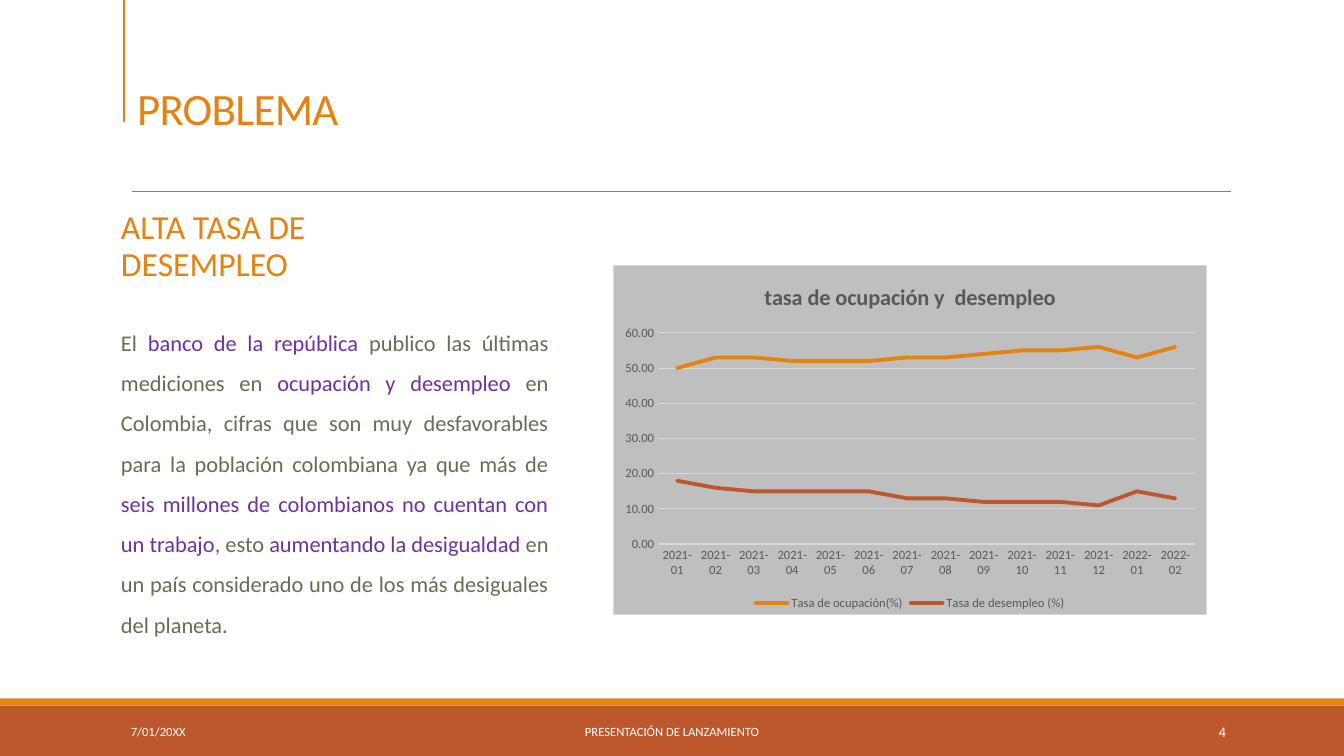
from dataclasses import dataclass

from lxml import etree
from pptx import Presentation
from pptx.chart.data import CategoryChartData
from pptx.dml.color import RGBColor
from pptx.enum.chart import XL_CHART_TYPE as CT, XL_LEGEND_POSITION as LP, XL_TICK_MARK as TM
from pptx.enum.shapes import MSO_CONNECTOR as CN, MSO_SHAPE as SH
from pptx.enum.text import MSO_ANCHOR as VA, MSO_AUTO_SIZE as AS, PP_ALIGN as AL
from pptx.oxml import parse_xml
from pptx.oxml.ns import nsdecls, qn
from pptx.util import Inches, Pt


@dataclass(frozen=True)
class Theme:
    font: str = "Calibri"
    orange: str = "E48312"
    rust: str = "BD582C"
    olive: str = "637052"
    purple: str = "7030A0"
    gray: str = "595959"
    rule: str = "808080"
    panel: str = "BFBFBF"
    grid: str = "D9D9D9"
    white: str = "FFFFFF"
    title: float = 32
    heading: float = 24
    body: float = 16
    number: float = 10.5
    small: float = 9


def rgb(value):
    return RGBColor.from_string(value)


def set_font(font, name, size, color, bold=False):
    font.name, font.size, font.bold = name, Pt(size), bold
    font.color.rgb = rgb(color)


def write(sp, runs, *, font, size, color, align=AL.LEFT, anchor=VA.TOP,
          insets=(0.1, 0.05, 0.1, 0.05), spacing=1.0, after=0, tracking=None):
    """Fill a shape with one paragraph of (text, color) runs or a plain string."""
    tf = sp.text_frame
    tf.word_wrap, tf.auto_size, tf.vertical_anchor = True, AS.NONE, anchor
    tf.margin_left, tf.margin_top, tf.margin_right, tf.margin_bottom = map(Inches, insets)
    p = tf.paragraphs[0]
    p.alignment, p.line_spacing = align, spacing
    p.space_before, p.space_after = Pt(0), Pt(after)
    pPr = p._p.get_or_add_pPr()
    pPr.set("marL", "0")
    pPr.set("indent", "0")
    etree.SubElement(pPr, qn("a:buNone"))
    for text, run_color in [(runs, color)] if isinstance(runs, str) else runs:
        r = p.add_run()
        r.text = text
        set_font(r.font, font, size, run_color)
        if tracking is not None:
            r._r.get_or_add_rPr().set("spc", str(int(tracking * 100)))


class SlideBuilder:
    def __init__(self, prs, theme):
        self.theme = theme
        self.slide = prs.slides.add_slide(prs.slide_layouts[4])
        self.shapes = self.slide.shapes

    def band(self, top, height, color):
        s = self.shapes.add_shape(SH.RECTANGLE, 0, Inches(top), Inches(13.33), Inches(height))
        s.shadow.inherit = False
        s.fill.solid()
        s.fill.fore_color.rgb = rgb(color)
        s.line.fill.background()

    def line(self, start, end, color, width):
        c = self.shapes.add_connector(CN.STRAIGHT, *map(Inches, start + end))
        c.line.color.rgb = rgb(color)
        c.line.width = Pt(width)
        etree.SubElement(c._element.spPr, qn("a:effectLst"))

    def text(self, box, runs, holder=None, **style):
        if holder is None:
            sp = self.shapes.add_textbox(*map(Inches, box))
        else:
            sp = self.slide.placeholders[holder]
            sp.left, sp.top, sp.width, sp.height = map(Inches, box)
        write(sp, runs, font=self.theme.font, **style)

    def line_chart(self, box, title, categories, series):
        t = self.theme
        data = CategoryChartData(number_format="0.00")
        data.categories = categories
        for name, values, _ in series:
            data.add_series(name, values)
        chart = self.shapes.add_chart(CT.LINE, *map(Inches, box), data).chart
        set_font(chart.font, t.font, t.small, t.gray)

        # Title and legend
        chart.has_title = True
        p = chart.chart_title.text_frame.paragraphs[0]
        r = p.add_run()
        r.text = title
        set_font(r.font, t.font, t.body, t.gray, bold=True)
        chart.chart_title.include_in_layout = False
        chart.has_legend = True
        chart.legend.position = LP.BOTTOM
        chart.legend.include_in_layout = False
        set_font(chart.legend.font, t.font, t.small, t.gray)

        # Axes
        cat, val = chart.category_axis, chart.value_axis
        for axis in (cat, val):
            axis.major_tick_mark = axis.minor_tick_mark = TM.NONE
            set_font(axis.tick_labels.font, t.font, t.small, t.gray)
        cat.format.line.color.rgb = rgb(t.grid)
        cat.format.line.width = Pt(1)
        val.minimum_scale, val.maximum_scale, val.major_unit = 0, 60, 10
        val.tick_labels.number_format = "0.00"
        val.tick_labels.number_format_is_linked = False
        val.format.line.fill.background()
        val.major_gridlines.format.line.color.rgb = rgb(t.grid)
        val.major_gridlines.format.line.width = Pt(0.75)

        # Series
        chart.plots[0].vary_by_categories = False
        for s, (_, _, color) in zip(chart.plots[0].series, series):
            s.smooth = False
            s.format.line.color.rgb = rgb(color)
            s.format.line.width = Pt(2.75)
            s.format.line._get_or_add_ln().set("cap", "rnd")

        # Chart background and border
        chart._chartSpace.find(qn("c:chart")).addnext(parse_xml(
            f'<c:spPr {nsdecls("c", "a")}>'
            f'<a:solidFill><a:srgbClr val="{t.panel}"/></a:solidFill>'
            f'<a:ln w="{Pt(0.75)}"><a:solidFill><a:srgbClr val="{t.grid}"/></a:solidFill></a:ln>'
            '</c:spPr>'))

    def remove_empty_placeholders(self):
        for sp in list(self.slide.placeholders):
            if not sp.text_frame.text:
                sp._element.getparent().remove(sp._element)


def main():
    t = Theme()
    prs = Presentation()
    prs.slide_width, prs.slide_height = Inches(13.33), Inches(7.5)
    b = SlideBuilder(prs, t)

    # Footer bands and rules
    b.band(7, 0.5, t.rust)
    b.band(6.93, 0.07, t.orange)
    b.line((1.31, 1.9), (12.21, 1.9), t.rule, 0.5)
    b.line((1.23, 0), (1.23, 1.21), t.orange, 1.5)

    # Title, heading and body
    b.text((1.36, 0.81, 11.5, 0.58), "PROBLEMA", holder=0, size=t.title, color=t.orange,
           anchor=VA.BOTTOM, insets=(0, 0.05, 0.1, 0.05), spacing=0.85, tracking=-0.5)
    b.text((1.2, 2.04, 3.39, 0.77), "ALTA TASA DE DESEMPLEO", holder=1, size=t.heading,
           color=t.orange, insets=(0, 0.05, 0.1, 0.05), spacing=0.9, after=2)
    b.text((1.2, 3.08, 4.24, 3.22), [
        ("El ", t.olive),
        ("banco de la república ", t.purple),
        ("publico las últimas mediciones en ", t.olive),
        ("ocupación y desempleo", t.purple),
        (" en Colombia, cifras que son muy desfavorables para la población "
         "colombiana ya que más de ", t.olive),
        ("seis millones de colombianos no cuentan con un trabajo", t.purple),
        (", esto ", t.olive),
        ("aumentando la desigualdad ", t.purple),
        ("en un país considerado uno de los más desiguales del planeta. ", t.olive),
    ], holder=2, size=t.body, color=t.olive, align=AL.JUSTIFY,
        insets=(0, 0.05, 0, 0.05), spacing=1.5, after=2)
    b.remove_empty_placeholders()

    # Footer texts
    for left, width, text, align, size in (
            (1.2, 2.7, "7/01/20XX", AL.LEFT, t.small),
            (4.03, 5.27, "PRESENTACIÓN DE LANZAMIENTO", AL.CENTER, t.small),
            (10.83, 1.43, "4", AL.RIGHT, t.number)):
        b.text((left, 7.06, width, 0.4), text, size=size, color=t.white,
               align=align, anchor=VA.MIDDLE)

    # Employment chart
    months = [f"2021-{m:02}" for m in range(1, 13)] + ["2022-01", "2022-02"]
    employed = (50, 53, 53, 52, 52, 52, 53, 53, 54, 55, 55, 56, 53, 56)
    unemployed = (18, 16, 15, 15, 15, 15, 13, 13, 12, 12, 12, 11, 15, 13)
    b.line_chart((6.08, 2.63, 5.89, 3.47), "tasa de ocupación y  desempleo", months, (
        ("Tasa de ocupación(%)", employed, t.orange),
        ("Tasa de desempleo (%)", unemployed, t.rust)))

    prs.save("out.pptx")


if __name__ == "__main__":
    main()
